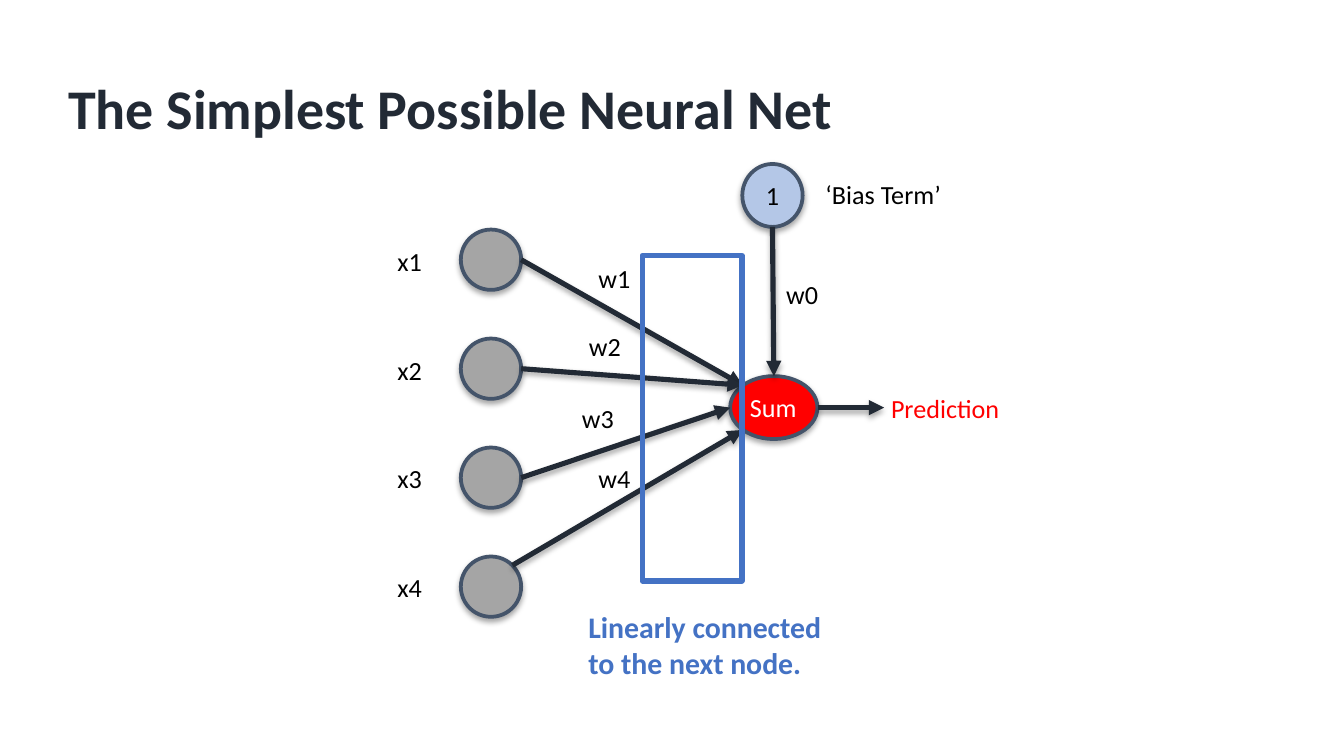
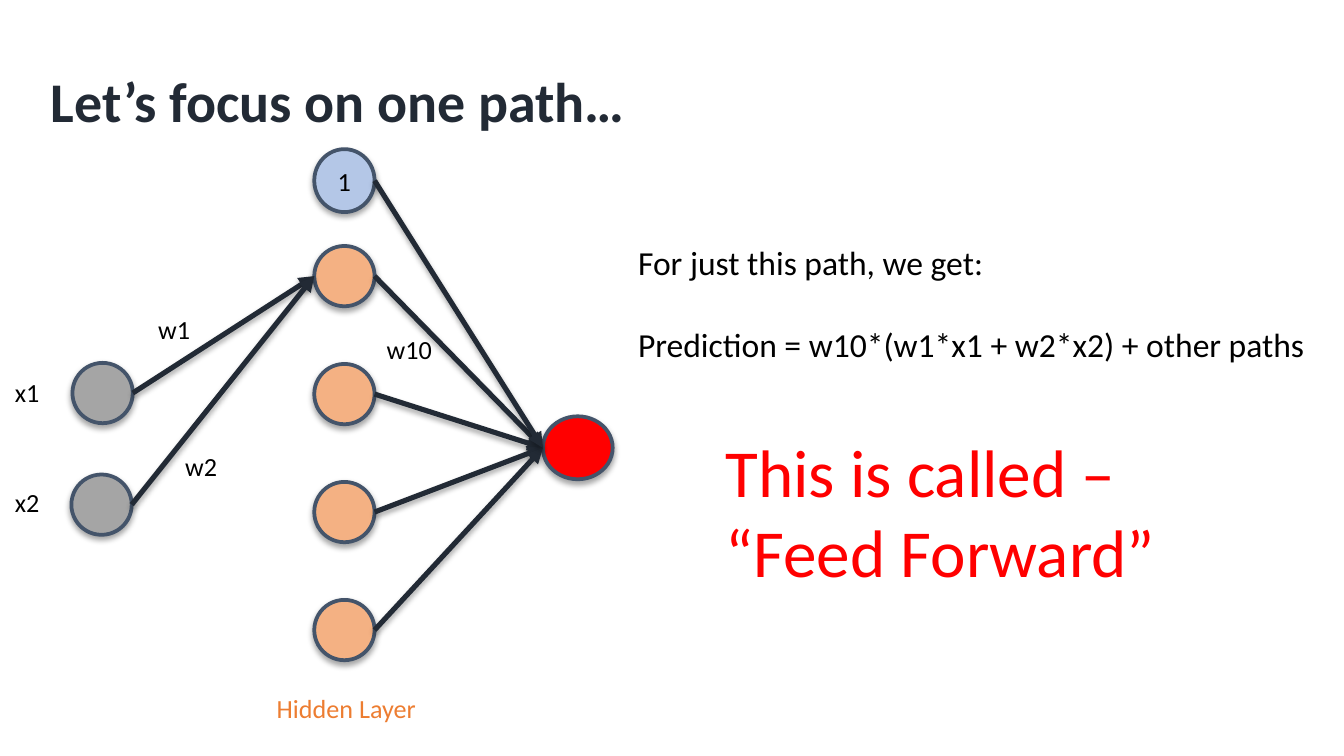
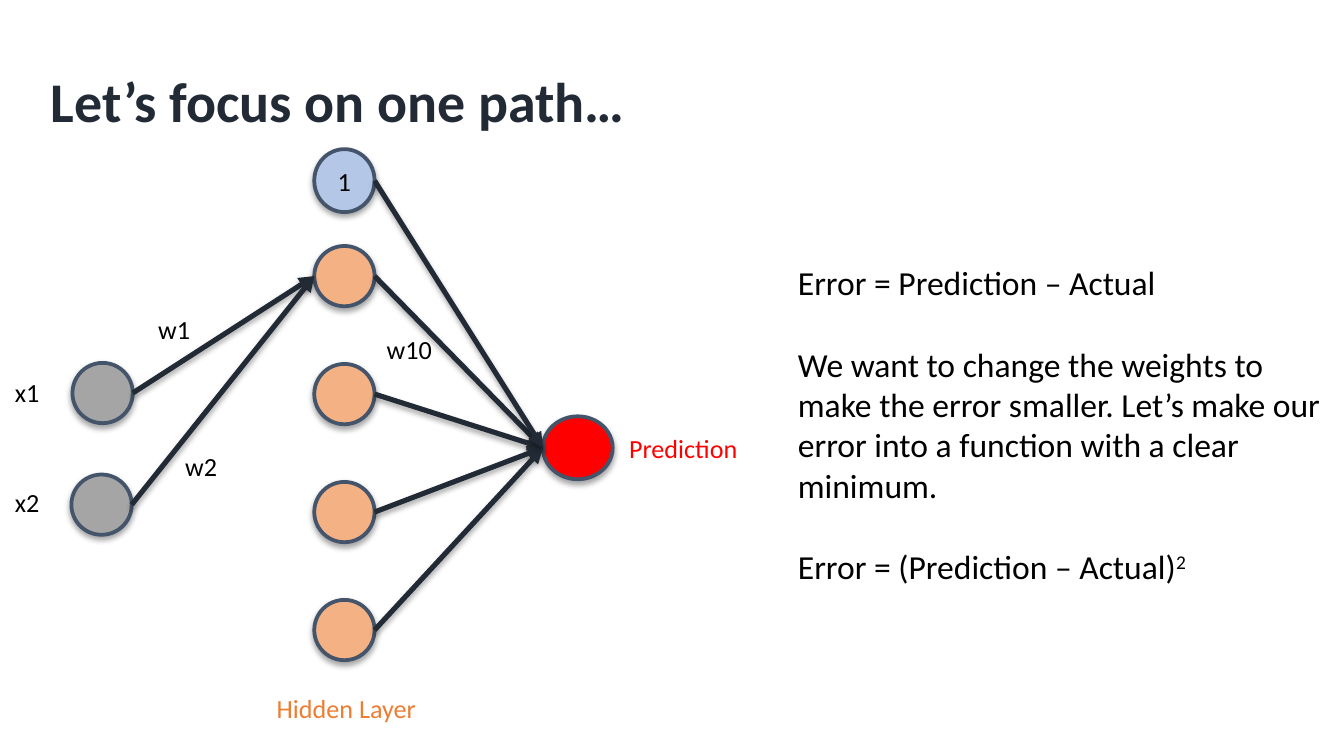
"""Build three slides on simple neural nets and the feed-forward path."""
from pptx import Presentation
from pptx.dml.color import RGBColor as Rgb
from pptx.enum.shapes import MSO_CONNECTOR as Link, MSO_SHAPE as Kind
from pptx.enum.text import MSO_ANCHOR as Anchor, MSO_AUTO_SIZE as Fit, PP_ALIGN as Align
from pptx.oxml import parse_xml
from pptx.oxml.ns import nsdecls, qn
from pptx.util import Cm, Pt

FONT = "Calibri"
INK, BLACK, WHITE = "222A35", "000000", "FFFFFF"
GRAY, PEACH, PALE, RED = "A5A5A5", "F4B183", "B4C7E7", "FF0000"
RIM, BLUE, ORANGE = "44546A", "4472C4", "ED7D31"
DOT, TALL = 1.14, 1.19
THIN, WIDE = 0.13, 0.25
DIAG = 0.71
LEFT, RIGHT, TOP, BASE = (-1, 0), (1, 0), (0, -1), (0, 1)
NW, NE, SW = (-DIAG, -DIAG), (DIAG, -DIAG), (-DIAG, DIAG)

NET_TITLE = "The Simplest Possible Neural Net"
INPUTS = [("x1", RIGHT, NW), ("x2", RIGHT, NW), ("x3", RIGHT, LEFT), ("x4", NE, SW)]
NET_TAGS = [
    ("w1", 11.18, 4.83), ("w2", 11, 6.12), ("w3", 10.87, 7.47), ("w4", 11.18, 8.61),
    ("w0", 14.73, 5.13), ("‘Bias Term’", 15.47, 3.25),
]
NET_NOTE = "Linearly connected to the next node."

PATH_TITLE = "Let’s focus on one path…"
PATH_INPUTS = [("x1", 1.37, 6.86, 6.99), ("x2", 1.35, 8.97, 9.07)]
PATH_TAGS = [("w1", 2.74, 5.79), ("w10", 7.06, 6.17), ("w2", 3.25, 8.38)]
FORWARD = ["For just this path, we get:", "Prediction = w10*(w1*x1 + w2*x2) + other paths"]
CALLED = "This is called – “Feed Forward”"
ERROR = [
    "Error = Prediction – Actual",
    "We want to change the weights to make the error smaller. "
    "Let’s make our error into a function with a clear minimum.",
    ("Error = (Prediction – Actual)", "2"),
]


def tint(code):
    return Rgb.from_string(code)


def shade(part):
    part.element.spPr.append(parse_xml(
        f'<a:effectLst {nsdecls("a")}><a:outerShdw blurRad="38100" dist="22860" '
        'dir="5400000" rotWithShape="0"><a:srgbClr val="000000">'
        '<a:alpha val="35000"/></a:srgbClr></a:outerShdw></a:effectLst>'))


def write(frame, paras, size, color, bold=False, side=THIN, fit=True, align=Align.LEFT):
    frame.word_wrap = True
    frame.auto_size = Fit.SHAPE_TO_FIT_TEXT if fit else Fit.NONE
    frame.margin_left = frame.margin_right = Cm(side)
    frame.margin_top = frame.margin_bottom = Cm(THIN)
    for i, words in enumerate(paras):
        para = frame.add_paragraph() if i else frame.paragraphs[0]
        main, *raised = (words,) if isinstance(words, str) else words
        para.add_run().text = main
        for bit in raised:
            run = para.add_run()
            run.text = bit
            run.font._element.set("baseline", "30000")
        para.alignment = align
        if i:
            para.space_before = Pt(22)
        font = para.font
        font.name, font.size, font.bold = FONT, Pt(size), bold
        font.color.rgb = tint(color)


def text(page, words, x, y, w, h=0.86, size=14, color=BLACK, **style):
    box = page.shapes.add_textbox(Cm(x), Cm(y), Cm(w), Cm(h))
    write(box.text_frame, [words] if isinstance(words, str) else words, size, color, **style)


def node(page, x, y, fill, w=DOT, h=DOT, word="", color=BLACK, align=Align.CENTER):
    oval = page.shapes.add_shape(Kind.OVAL, Cm(x), Cm(y), Cm(w), Cm(h))
    oval.fill.solid()
    oval.fill.fore_color.rgb = tint(fill)
    oval.line.color.rgb, oval.line.width = tint(RIM), Pt(2)
    shade(oval)
    if word:
        oval.text_frame.vertical_anchor = Anchor.MIDDLE
        write(oval.text_frame, [word], 14, color, align=align)
    return oval


def spot(oval, side):
    return (oval.left + int(oval.width * (1 + side[0]) / 2),
            oval.top + int(oval.height * (1 + side[1]) / 2))


def arrow(page, start, end):
    line = page.shapes.add_connector(Link.STRAIGHT, *start, *end)
    line.line.color.rgb, line.line.width = tint(INK), Pt(2.75)
    line.element.spPr.find(qn("a:ln")).append(
        parse_xml(f'<a:tailEnd {nsdecls("a")} type="triangle"/>'))
    shade(line)


def start(deck, title, x, y):
    page = deck.slides.add_slide(deck.slide_layouts[6])
    text(page, title, x, y, 21.56, 1.93, 30, INK, bold=True, side=WIDE, fit=False)
    return page


def net(deck):
    page = start(deck, NET_TITLE, 1.04, 1.27)
    total = node(page, 13.8, 7.11, RED, 1.65, TALL, "Sum", WHITE, Align.LEFT)
    bias = node(page, 14.03, 3.1, PALE, h=TALL, word="1")
    for i, (name, out, into) in enumerate(INPUTS):
        dot = node(page, 8.71, 4.34 + 2.06 * i, GRAY)
        arrow(page, spot(dot, out), spot(total, into))
        text(page, name, 7.38, 4.5 + 2.06 * i, 1.2)
    arrow(page, spot(bias, BASE), spot(total, TOP))
    arrow(page, spot(total, RIGHT), (Cm(16.71), spot(total, RIGHT)[1]))
    text(page, "Prediction", 16.71, 7.29, 5.23, color=RED)
    for name, x, y in NET_TAGS:
        text(page, name, x, y, 5.23)
    frame = page.shapes.add_shape(Kind.RECTANGLE, Cm(12.14), Cm(4.83), Cm(1.88), Cm(6.15))
    frame.shadow.inherit = False
    frame.fill.background()
    frame.line.color.rgb, frame.line.width = tint(BLUE), Pt(3)
    text(page, NET_NOTE, 10.87, 11.38, 5.03, 1.63, 16, BLUE, bold=True, side=WIDE)


def route(deck):
    page = start(deck, PATH_TITLE, 0.71, 1.12)
    hidden = [node(page, 5.94, 4.65 + 2.23 * i, PEACH) for i in range(4)]
    bias = node(page, 5.94, 2.82, PALE, h=TALL, word="1")
    goal = node(page, 10.26, 7.87, RED, 1.32, TALL)
    for name, x, y, base in PATH_INPUTS:
        dot = node(page, x, y, GRAY)
        arrow(page, spot(dot, RIGHT), spot(hidden[0], LEFT))
        text(page, name, 0.15, base, 0.94)
    for dot in hidden + [bias]:
        arrow(page, spot(dot, RIGHT), spot(goal, LEFT))
    for name, x, y in PATH_TAGS:
        text(page, name, x, y, 2.59, side=WIDE)
    text(page, "Hidden Layer", 4.98, 12.95, 5.31, color=ORANGE, side=WIDE)
    return page


def main():
    deck = Presentation()
    deck.slide_width, deck.slide_height = Cm(25.4), Cm(14.29)
    net(deck)
    page = route(deck)
    text(page, FORWARD, 11.81, 4.45, 13.2, 3.33, 18, side=WIDE)
    text(page, CALLED, 13.46, 8, 11, 3.33, 36, RED, side=WIDE)
    page = route(deck)
    text(page, "Prediction", 11.76, 8.05, 5.23, color=RED)
    text(page, ERROR, 14.83, 4.83, 10.57, 6.5, 18, side=WIDE)
    deck.save("out.pptx")


if __name__ == "__main__":
    main()
